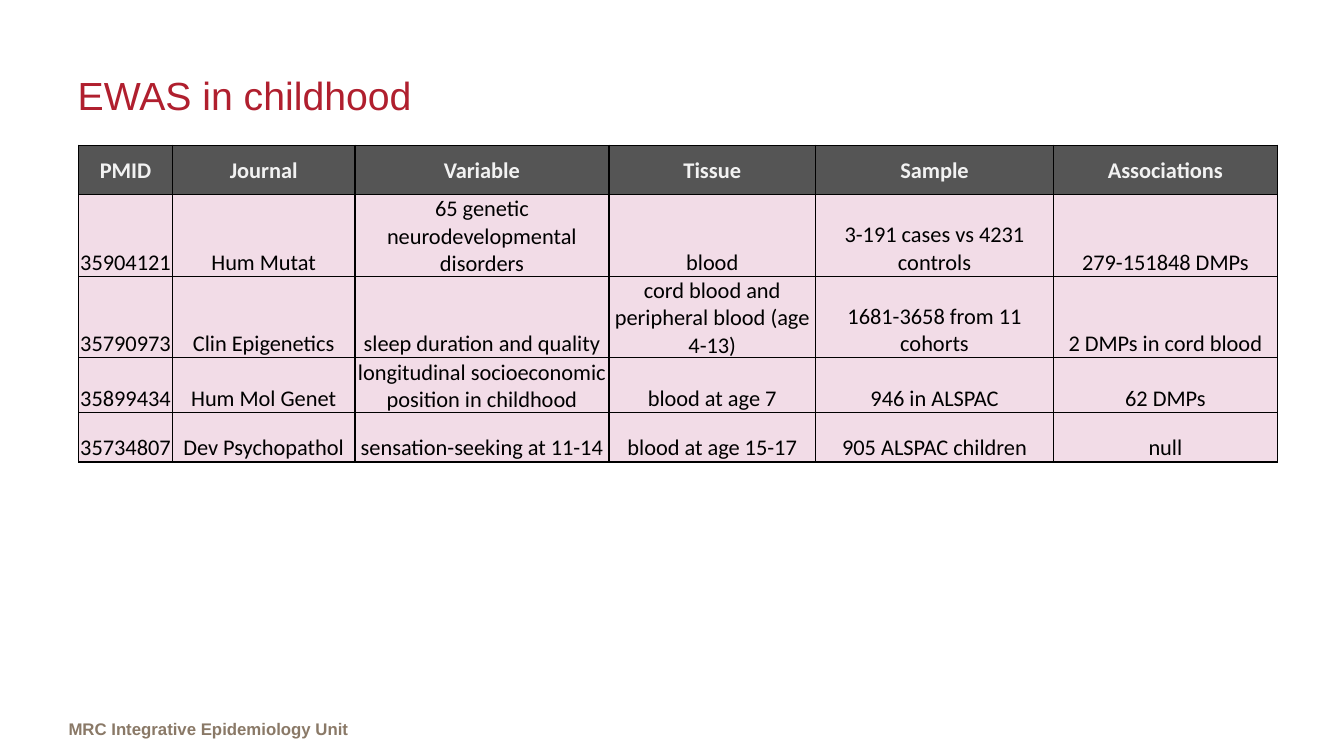
import pptx
import pptx.util
import pptx.dml.color
import pptx.enum.text
import pptx.oxml
import pptx.oxml.ns

Pt = pptx.util.Pt
RGBColor = pptx.dml.color.RGBColor
PP_ALIGN = pptx.enum.text.PP_ALIGN
MSO_ANCHOR = pptx.enum.text.MSO_ANCHOR

CRIMSON = RGBColor(0xB0, 0x1F, 0x2E)
TAUPE = RGBColor(0x8A, 0x79, 0x67)
BLACK = RGBColor(0, 0, 0)
PALE = RGBColor(0xF2, 0xF2, 0xF2)
CHARCOAL = RGBColor(0x0D, 0x0D, 0x0D)
PINK = RGBColor(0xED, 0xCE, 0xDE)

TITLE = dict(name="Arial", size=Pt(28), bold=False)
FOOTER = dict(name="Arial", size=Pt(12), bold=True)
HEAD = dict(name="Calibri", size=Pt(16), bold=True)
BODY = dict(HEAD, bold=False)
CELL = dict(margin_left=Pt(0.75), margin_right=Pt(0.75), margin_top=Pt(0.75), margin_bottom=0)

COLUMNS = [6.98, 13.58, 18.9, 15.38, 17.7, 16.65]
ROW = 6.53
STUDIES = [
    ["PMID", "Journal", "Variable", "Tissue", "Sample", "Associations"],
    ["35904121", "Hum Mutat", "65 genetic neurodevelopmental disorders", "blood",
     "3-191 cases vs 4231 controls", "279-151848 DMPs"],
    ["35790973", "Clin Epigenetics", "sleep duration and quality",
     "cord blood and peripheral blood (age 4-13)", "1681-3658 from 11 cohorts",
     "2 DMPs in cord blood"],
    ["35899434", "Hum Mol Genet", "longitudinal socioeconomic position in childhood",
     "blood at age 7", "946 in ALSPAC", "62 DMPs"],
    ["35734807", "Dev Psychopathol", "sensation-seeking at 11-14", "blood at age 15-17",
     "905 ALSPAC children", "null"],
]


class Deck:
    """Slide builder whose lengths are percentages of the slide's size."""

    def __init__(self, prs):
        self.prs = prs
        self.s = prs.slides.add_slide(prs.slide_layouts[5])

    def x(self, share):
        return round(self.prs.slide_width * share / 100)

    def y(self, share):
        return round(self.prs.slide_height * share / 100)

    def box(self, left, top, width, height):
        return self.x(left), self.y(top), self.x(width), self.y(height)

    def apply(self, target, values):
        for name, value in values.items():
            setattr(target, name, value)

    def text(self, tf, text, style, color, align):
        p = tf.paragraphs[0]
        p.alignment = align
        r = p.add_run()
        r.text = text
        self.apply(r.font, style)
        r.font.color.rgb = color

    def title(self, text, *area):
        sp = self.s.shapes.title
        self.apply(sp, dict(zip(("left", "top", "width", "height"), self.box(*area))))
        tf = sp.text_frame
        self.apply(tf, dict(word_wrap=True, vertical_anchor=MSO_ANCHOR.MIDDLE,
                            auto_size=pptx.enum.text.MSO_AUTO_SIZE.NONE))
        self.text(tf, text, TITLE, CRIMSON, PP_ALIGN.LEFT)

    def footer(self, text, *area):
        tf = self.s.shapes.add_textbox(*self.box(*area)).text_frame
        self.apply(tf, dict(word_wrap=True, margin_left=0, margin_right=0))
        self.text(tf, text, FOOTER, TAUPE, PP_ALIGN.LEFT)

    def table(self, rows, left, top):
        area = self.box(left, top, sum(COLUMNS), ROW * len(rows))
        table = self.s.shapes.add_table(len(rows), len(COLUMNS), *area).table
        self.apply(table, dict(first_row=False, horz_banding=False))
        for column, share in zip(table.columns, COLUMNS):
            column.width = self.x(share)
        for i, texts in enumerate(rows):
            table.rows[i].height = self.y(ROW)
            for j, text in enumerate(texts):
                self.cell(table.cell(i, j), text, header=i == 0)

    def cell(self, cell, text, header):
        self.apply(cell, CELL)
        cell.vertical_anchor = MSO_ANCHOR.MIDDLE if header else MSO_ANCHOR.BOTTOM
        self.text(cell.text_frame, text, HEAD if header else BODY,
                  PALE if header else BLACK, PP_ALIGN.CENTER)
        cell.fill.solid()
        cell.fill.fore_color.rgb = CHARCOAL if header else PINK
        tcPr = cell._tc.get_or_add_tcPr()
        ns = pptx.oxml.ns.nsdecls("a")
        tcPr.find(".//" + pptx.oxml.ns.qn("a:srgbClr")).append(
            pptx.oxml.parse_xml(f'<a:alpha {ns} val="70000"/>'))
        for i, side in enumerate("LRTB"):
            tcPr.insert(i, pptx.oxml.parse_xml(
                f'<a:ln{side} {ns} w="{Pt(1)}"><a:solidFill><a:srgbClr val="{BLACK}"/>'
                f'</a:solidFill></a:ln{side}>'))


def main():
    prs = pptx.Presentation()
    prs.slide_width = pptx.util.Inches(13.33)
    prs.slide_height = pptx.util.Inches(7.5)
    deck = Deck(prs)
    deck.footer("MRC Integrative Epidemiology Unit", 5.1, 94.4, 24.16, 4)
    deck.title("EWAS in childhood", 5.03, 6.67, 89.2, 11.87)
    deck.table(STUDIES, 5.85, 19.2)
    prs.save("out.pptx")


if __name__ == "__main__":
    main()
